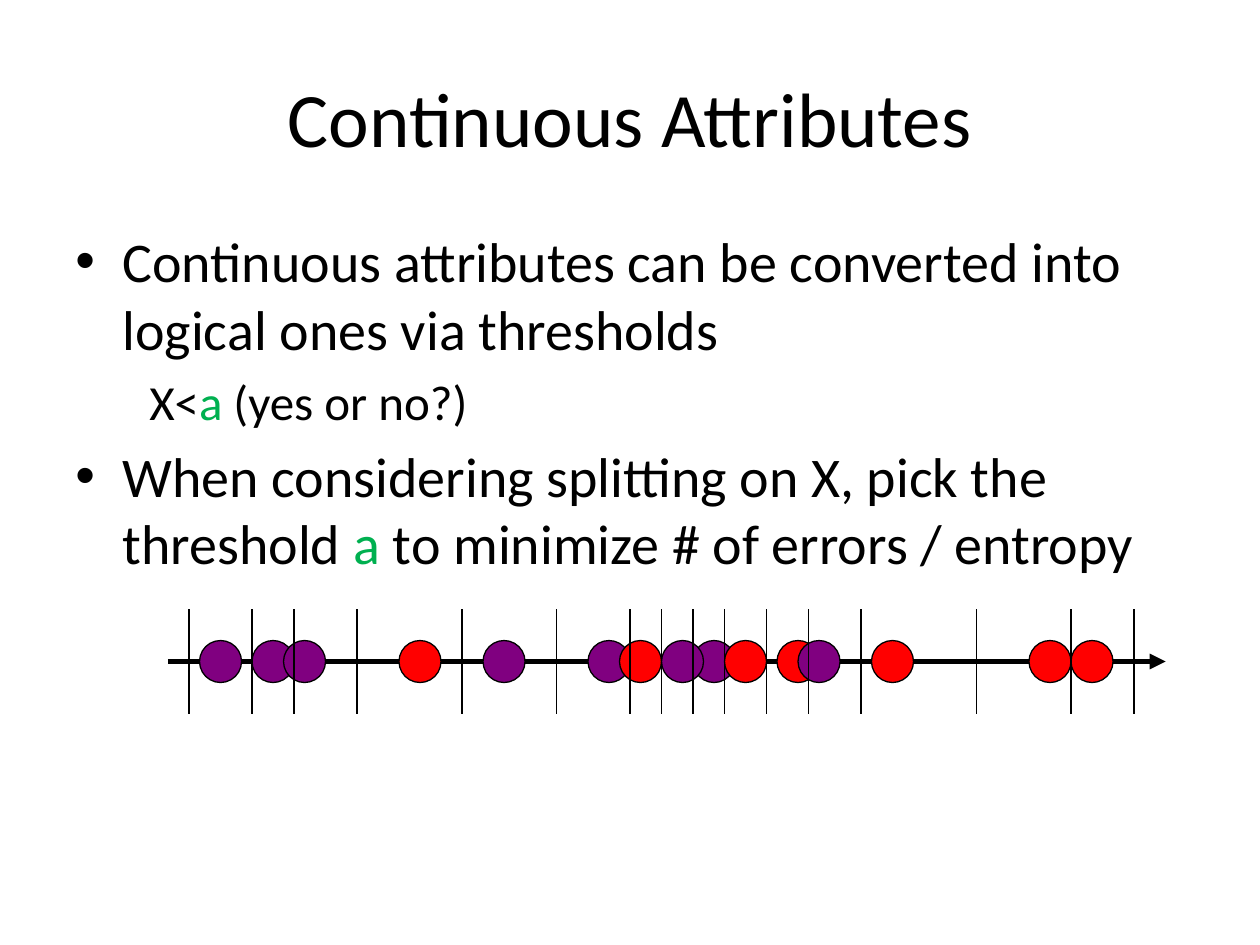
from lxml import etree
from pptx import Presentation
from pptx.dml.color import RGBColor
from pptx.enum.shapes import MSO_CONNECTOR, MSO_SHAPE
from pptx.enum.text import MSO_ANCHOR, PP_ALIGN
from pptx.oxml.ns import qn
from pptx.util import Cm, Pt

BLACK = RGBColor(0, 0, 0)
GREEN = RGBColor(0, 0xB0, 0x50)
PURPLE = RGBColor(0x80, 0, 0x80)
RED = RGBColor(0xFF, 0, 0)

STEP = Cm(2.54 / 12)  # the number line sits on a grid of twelfths of an inch
AXIS_START, AXIS_END, AXIS_Y = 16, 111, 63
DOT_SIZE = 4
THRESHOLD_REACH = 5


def add_spans(paragraph, spans, size):
    for text, color in spans:
        span = paragraph.add_run()
        span.text = text
        span.font.name = "Calibri"
        span.font.size = Pt(size)
        span.font.color.rgb = color


def add_grid_line(shapes, start, end, width):
    """Draw a black line between two (column, row) grid points."""
    line = shapes.add_connector(
        MSO_CONNECTOR.STRAIGHT, *[STEP * value for value in start + end])
    line.line.color.rgb = BLACK
    line.line.width = Pt(width)
    etree.SubElement(line._element.spPr, qn("a:effectLst"))
    return line


deck = Presentation()
deck.slide_width = Cm(25.4)
deck.slide_height = Cm(19.05)
page = deck.slides.add_slide(deck.slide_layouts[6])

title = page.shapes.add_textbox(Cm(1.27), Cm(0.76), Cm(22.86), Cm(3.18))
title.text_frame.word_wrap = True
title.text_frame.vertical_anchor = MSO_ANCHOR.MIDDLE
heading = title.text_frame.paragraphs[0]
heading.alignment = PP_ALIGN.CENTER
add_spans(heading, [("Continuous Attributes", BLACK)], 44)

# Spans, size, left margin, hanging indent, space before
body_paragraphs = [
    ([("Continuous attributes can be converted into logical ones via thresholds", BLACK)],
     32, 0.95, 0.95, 0),
    ([("X<", BLACK), ("a ", GREEN), ("(yes or no?)", BLACK)],
     28, 1.49, 0, 5.6),
    ([("When considering splitting on X, pick the threshold ", BLACK), ("a", GREEN),
      (" to minimize # of errors / entropy", BLACK)],
     32, 0.95, 0.95, 6.4),
]
body = page.shapes.add_textbox(Cm(1.27), Cm(4.45), Cm(22.86), Cm(12.57))
body.text_frame.word_wrap = True
for index, (spans, size, margin, hanging, space) in enumerate(body_paragraphs):
    paragraph = body.text_frame.paragraphs[0] if index == 0 else body.text_frame.add_paragraph()
    paragraph.space_before = Pt(space)
    properties = paragraph._p.get_or_add_pPr()
    properties.set("marL", str(Cm(margin)))
    properties.set("indent", str(-Cm(hanging)))
    if hanging:
        etree.SubElement(properties, qn("a:buFont"), typeface="Arial")
        etree.SubElement(properties, qn("a:buChar"), char="•")
    add_spans(paragraph, spans, size)

axis = add_grid_line(page.shapes, (AXIS_START, AXIS_Y), (AXIS_END, AXIS_Y), 3)
etree.SubElement(axis.line._get_or_add_ln(), qn("a:tailEnd"), type="triangle")

# Left grid column of each dot, back to front
dots = [
    (19, PURPLE), (24, PURPLE), (27, PURPLE), (38, RED), (46, PURPLE),
    (66, PURPLE), (74, RED), (56, PURPLE), (59, RED), (83, RED),
    (76, PURPLE), (98, RED), (102, RED), (69, RED), (63, PURPLE),
]
for column, color in dots:
    dot = page.shapes.add_shape(
        MSO_SHAPE.OVAL, STEP * column, STEP * (AXIS_Y - DOT_SIZE // 2),
        STEP * DOT_SIZE, STEP * DOT_SIZE)
    dot.shadow.inherit = False
    dot.fill.solid()
    dot.fill.fore_color.rgb = color
    dot.line.color.rgb = BLACK
    dot.line.width = Pt(0.75)

thresholds = page.shapes.add_group_shape()
for column in (18, 24, 28, 34, 44, 53, 60, 63, 66, 69, 73, 77, 82, 93, 102, 108):
    add_grid_line(thresholds.shapes, (column, AXIS_Y + THRESHOLD_REACH),
                  (column, AXIS_Y - THRESHOLD_REACH), 0.75)

deck.save("out.pptx")
